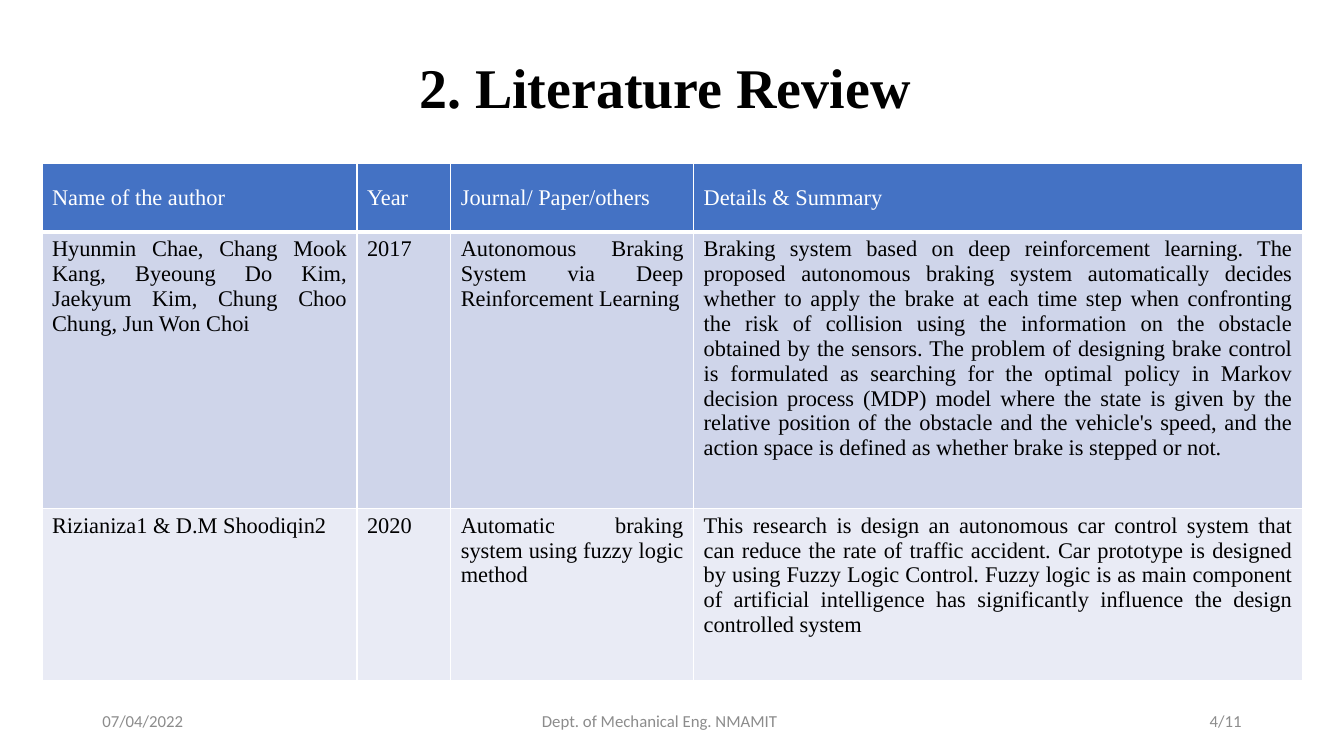
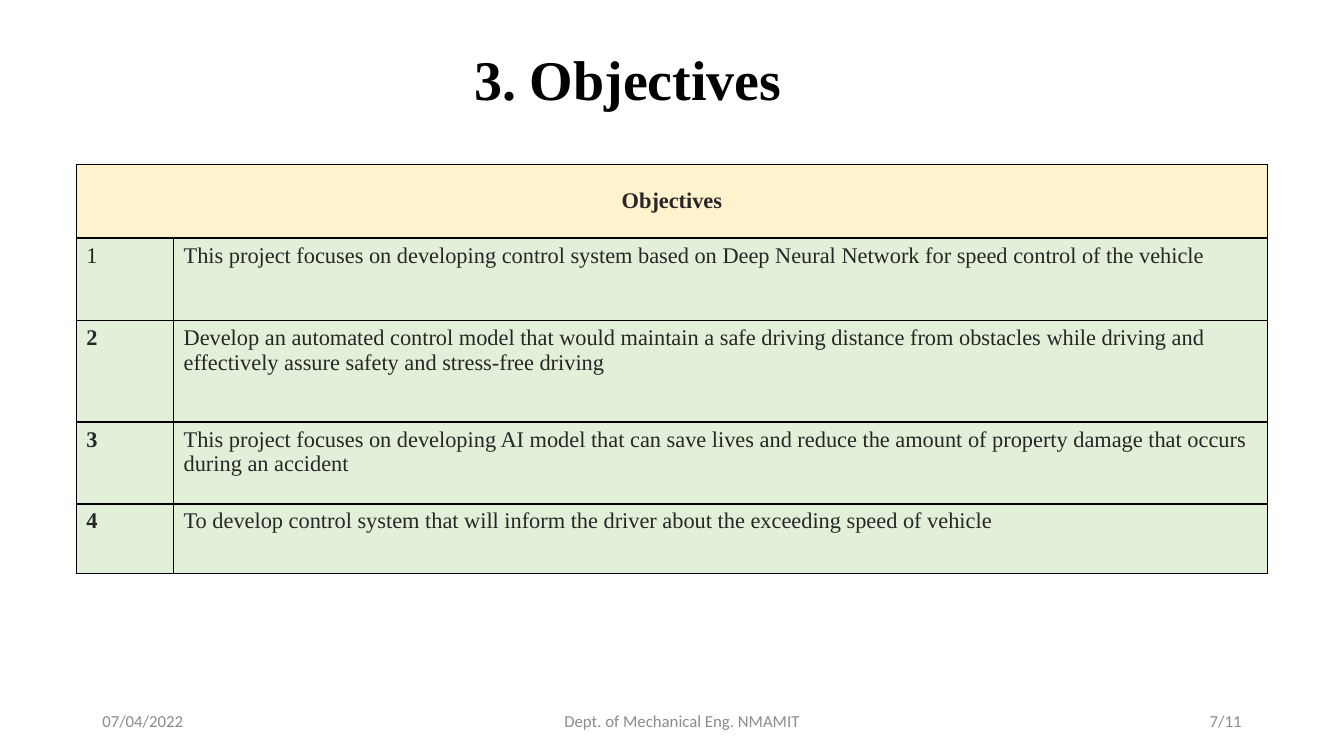
from lxml import etree
from pptx import Presentation
from pptx.dml.color import RGBColor
from pptx.enum.text import MSO_ANCHOR, MSO_AUTO_SIZE, PP_ALIGN
from pptx.oxml.ns import qn
from pptx.util import Pt

LEFT, CENTER, RIGHT, JUSTIFY = PP_ALIGN.LEFT, PP_ALIGN.CENTER, PP_ALIGN.RIGHT, PP_ALIGN.JUSTIFY
TOP, MIDDLE = MSO_ANCHOR.TOP, MSO_ANCHOR.MIDDLE
NO_AUTOFIT = MSO_AUTO_SIZE.NONE
TITLE_ONLY = 5

COLORS = {
    "black": "000000",
    "white": "FFFFFF",
    "footer": "8C8C8C",
    "ink": "262626",
    "header_blue": "4472C4",
    "band_dark": "CFD5EA",
    "band_light": "E9EBF5",
    "cream": "FFF2CC",
    "green": "E2F0D9",
}
SERIF, SANS = "Times New Roman", "Calibri"
FOOTER_TOP, FOOTER_HEIGHT = 500.5, 28.75

REVIEW_ROWS = [
    ["Name of the author", "Year", "Journal/ Paper/others", "Details & Summary"],
    [
        "Hyunmin Chae, Chang Mook Kang, Byeoung Do Kim, Jaekyum Kim, Chung Choo Chung, Jun Won Choi",
        "2017",
        "Autonomous Braking System via Deep Reinforcement Learning",
        "Braking system based on deep reinforcement learning. The proposed autonomous braking system "
        "automatically decides whether to apply the brake at each time step when confronting the risk of "
        "collision using the information on the obstacle obtained by the sensors. The problem of designing "
        "brake control is formulated as searching for the optimal policy in Markov decision process (MDP) "
        "model where the state is given by the relative position of the obstacle and the vehicle's speed, "
        "and the action space is defined as whether brake is stepped or not.",
    ],
    [
        "Rizianiza1 & D.M Shoodiqin2 ",
        "2020",
        "Automatic braking system using fuzzy logic method ",
        "This research is design an autonomous car control system that can reduce the rate of traffic "
        "accident. Car prototype is designed by using Fuzzy Logic Control. Fuzzy logic is as main component "
        "of artificial intelligence has significantly influence the design controlled system",
    ],
]
OBJECTIVES = [
    "This project focuses on developing control system based on Deep Neural Network for speed control of the vehicle",
    "Develop an automated control model that would maintain a safe driving distance from obstacles while driving and "
    "effectively assure safety and stress-free driving",
    "This project focuses on developing AI model that can save lives and reduce the amount of property damage that "
    "occurs during an accident",
    "To develop control system that will inform the driver about the exceeding speed of vehicle",
]


def color(name):
    return RGBColor.from_string(COLORS[name])


def write(frame, text, font, size, ink, align=LEFT, bold=False):
    paragraph = frame.paragraphs[0]
    paragraph.alignment = align
    run = paragraph.add_run()
    run.text = text
    run.font.name = font
    run.font.size = Pt(size)
    run.font.bold = bold
    run.font.color.rgb = color(ink)
    return paragraph


def add_title(slide, text, box):
    title = slide.shapes.title
    title.left, title.top, title.width, title.height = map(Pt, box)
    frame = title.text_frame
    frame.auto_size = NO_AUTOFIT
    frame.vertical_anchor = MIDDLE
    write(frame, text, SERIF, 40, "black", CENTER, True).line_spacing = 0.9


def add_footer(slide, page, department_left):
    parts = [
        ("07/04/2022", 66, 216, LEFT),
        ("Dept. of Mechanical Eng. NMAMIT", department_left, 237, LEFT),
        (page, 678, 216, RIGHT),
    ]
    for text, left, width, align in parts:
        shape = slide.shapes.add_textbox(Pt(left), Pt(FOOTER_TOP), Pt(width), Pt(FOOTER_HEIGHT))
        frame = shape.text_frame
        frame.word_wrap = True
        frame.vertical_anchor = MIDDLE
        write(frame, text, SANS, 12, "footer", align)


def set_borders(cell, line_color, widths):
    properties = cell._tc.get_or_add_tcPr()
    for side, width in zip("LRTB", widths):
        line = etree.SubElement(properties, qn(f"a:ln{side}"), w=str(Pt(width)))
        fill = etree.SubElement(line, qn("a:solidFill"))
        etree.SubElement(fill, qn("a:srgbClr"), val=COLORS[line_color])


def style_cell(cell, fill, anchor, line_color, widths=(1, 1, 1, 1)):
    set_borders(cell, line_color, widths)
    cell.fill.solid()
    cell.fill.fore_color.rgb = color(fill)
    cell.vertical_anchor = anchor


def add_grid(slide, left, top, column_widths, row_heights):
    table = slide.shapes.add_table(
        len(row_heights), len(column_widths),
        Pt(left), Pt(top), Pt(sum(column_widths)), Pt(sum(row_heights)),
    ).table
    table.horz_banding = False
    for column, width in zip(table.columns, column_widths):
        column.width = Pt(width)
    for row, height in zip(table.rows, row_heights):
        row.height = Pt(height)
    return table


def add_review_table(slide, left, top):
    table = add_grid(slide, left, top, [225, 67, 173.5, 435], [48.5, 197.5, 123])
    row_styles = [
        ("header_blue", "white", MIDDLE, (1, 1, 1, 3)),
        ("band_dark", "black", TOP, (1, 1, 3, 1)),
        ("band_light", "black", TOP, (1, 1, 1, 1)),
    ]
    for row, texts, (fill, ink, anchor, widths) in zip(table.rows, REVIEW_ROWS, row_styles):
        for cell, text in zip(row.cells, texts):
            style_cell(cell, fill, anchor, "white", widths)
            write(cell.text_frame, text, SERIF, 16, ink, JUSTIFY)


def add_objectives_table(slide, left, top):
    table = add_grid(slide, left, top, [69.5, 781.5], [52.5, 59, 72.5, 58.5, 49.5])
    heading = table.cell(0, 0)
    heading.merge(table.cell(0, 1))
    for cell in table.rows[0].cells:
        style_cell(cell, "cream", MIDDLE, "black")
    write(heading.text_frame, "Objectives", SERIF, 16, "ink", CENTER, True)
    for number, objective in enumerate(OBJECTIVES, 1):
        number_cell, text_cell = table.rows[number].cells
        for cell in (number_cell, text_cell):
            style_cell(cell, "green", TOP, "black")
        write(number_cell.text_frame, str(number), SERIF, 16, "ink", bold=number > 1)
        write(text_cell.text_frame, objective, SERIF, 16, "ink")


def add_base_slide(presentation, title, title_box, page, department_left):
    slide = presentation.slides.add_slide(presentation.slide_layouts[TITLE_ONLY])
    add_title(slide, title, title_box)
    add_footer(slide, page, department_left)
    return slide


def add_review_slide(presentation):
    slide = add_base_slide(presentation, "2. Literature Review ", (66, 29, 828, 71), "4/11", 380)
    add_review_table(slide, 30, 117)


def add_objectives_slide(presentation):
    slide = add_base_slide(presentation, "3. Objectives", (66, 29, 765, 60), "7/11", 396)
    add_objectives_table(slide, 54.5, 117.5)


def main():
    presentation = Presentation()
    presentation.slide_width = Pt(960)
    presentation.slide_height = Pt(540)
    add_review_slide(presentation)
    add_objectives_slide(presentation)
    presentation.save("out.pptx")


if __name__ == "__main__":
    main()
